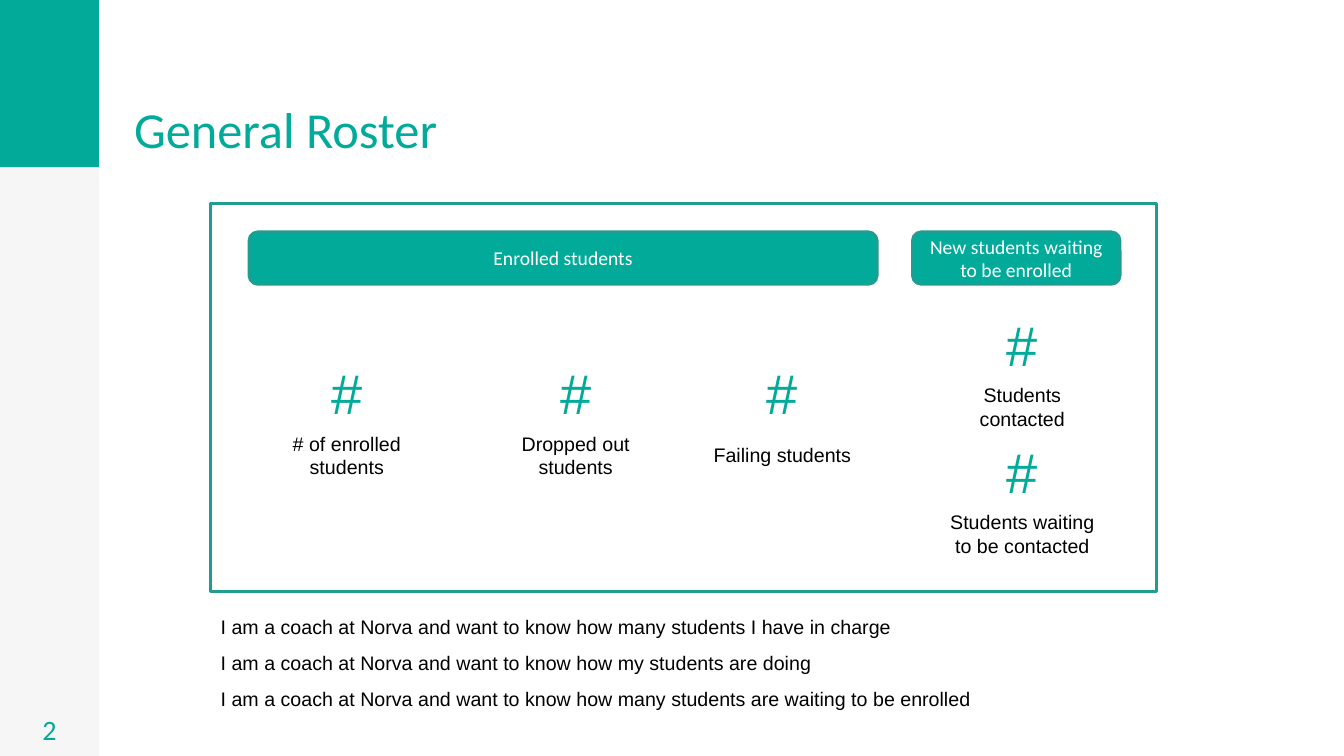
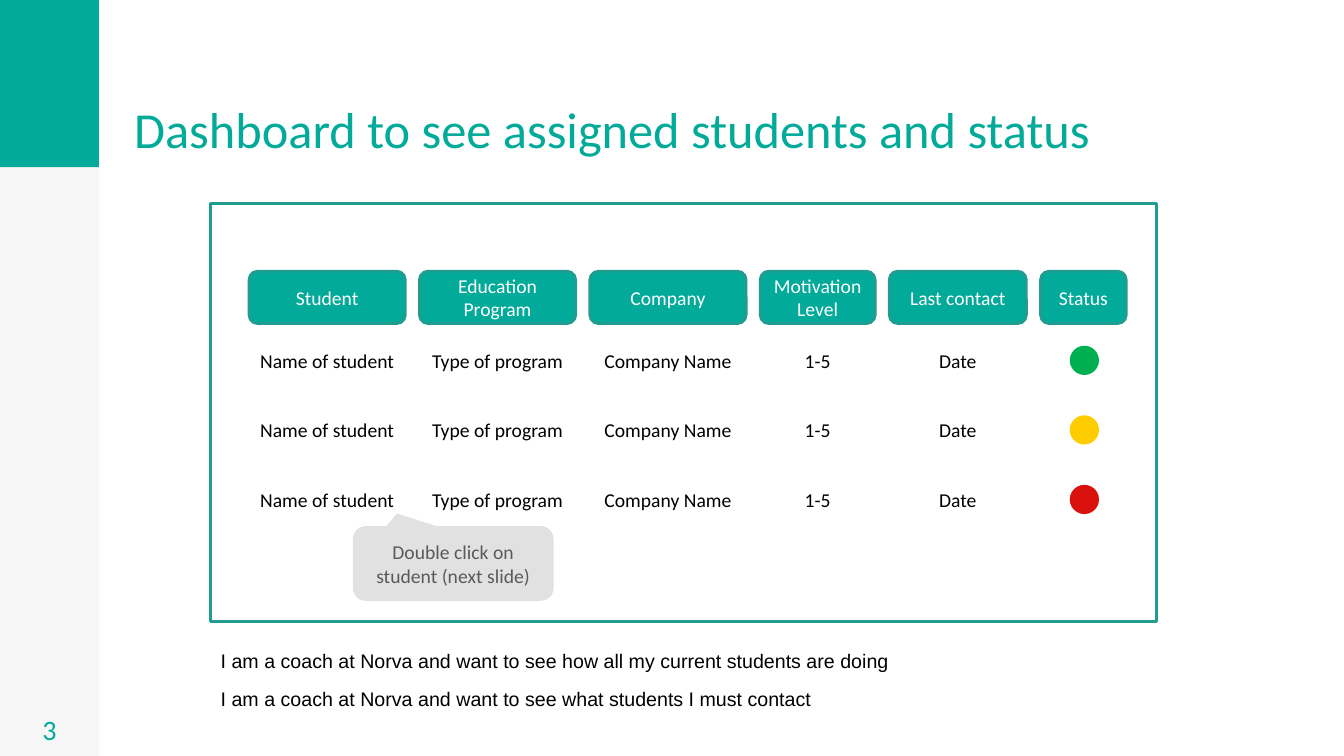
"""Build the student roster slide and the student dashboard slide."""
from dataclasses import dataclass

from pptx import Presentation
from pptx.dml.color import RGBColor
from pptx.enum.shapes import MSO_SHAPE
from pptx.enum.text import MSO_ANCHOR, MSO_AUTO_SIZE, PP_ALIGN
from pptx.util import Pt

PX = 9144
RECT, ROUND = MSO_SHAPE.RECTANGLE, MSO_SHAPE.ROUNDED_RECTANGLE
OVAL, CALLOUT = MSO_SHAPE.OVAL, MSO_SHAPE.ROUNDED_RECTANGULAR_CALLOUT
LEFT, CENTER = PP_ALIGN.LEFT, PP_ALIGN.CENTER
TOP, MIDDLE, BOTTOM = MSO_ANCHOR.TOP, MSO_ANCHOR.MIDDLE, MSO_ANCHOR.BOTTOM
NO_FIT = MSO_AUTO_SIZE.NONE


@dataclass(frozen=True)
class Theme:
    teal: str = "02AA9A"
    outline: str = "219C90"
    side: str = "F6F6F6"
    white: str = "FFFFFF"
    black: str = "000000"
    callout: str = "E1E1E1"
    callout_text: str = "5A5A5A"
    green: str = "00B050"
    yellow: str = "FFCC00"
    red: str = "DA120F"
    head: str = "Calibri"
    body: str = "Arial"
    title: int = 36
    number: int = 20
    metric: int = 40
    text: int = 14


T = Theme()


def box(s, kind, at, fill=None, line=None):
    """Add a preset shape, or a text box when kind is None."""
    at = [v * PX for v in at]
    if kind is None:
        return s.shapes.add_textbox(*at)
    sp = s.shapes.add_shape(kind, *at)
    sp.shadow.inherit = False
    sp.fill.solid()
    sp.fill.fore_color.rgb = RGBColor.from_string(fill)
    if line:
        sp.line.color.rgb = RGBColor.from_string(line)
        sp.line.width = Pt(2)
    else:
        sp.line.fill.background()
    return sp


def write(sp, text, color, size=T.text, font=T.head, align=CENTER, anchor=MIDDLE):
    """Put one formatted paragraph into a shape."""
    tf = sp.text_frame
    tf.word_wrap = True
    tf.auto_size = NO_FIT
    tf.vertical_anchor = anchor
    if anchor == BOTTOM:
        tf.margin_bottom = 10 * PX
    p = tf.paragraphs[0]
    p.text = text
    p.alignment = align
    p.font.name = font
    p.font.size = Pt(size)
    p.font.color.rgb = RGBColor.from_string(color)


prs = Presentation()
prs.slide_width, prs.slide_height = 1333 * PX, 750 * PX
layout = prs.slide_layouts[5]

pages = [
    ("General Roster", 385, 605, 36, [
        "I am a coach at Norva and want to know how many students I have in charge",
        "I am a coach at Norva and want to know how my students are doing",
        "I am a coach at Norva and want to know how many students are waiting to be enrolled",
    ]),
    ("Dashboard to see assigned students and status", 415, 639, 38, [
        "I am a coach at Norva and want to see how all my current students are doing",
        "I am a coach at Norva and want to see what students I must contact",
    ]),
]
slides = []
for number, (title, frame_h, notes_y, step, notes) in enumerate(pages, 2):
    s = prs.slides.add_slide(layout)
    slides.append(s)
    sp = s.shapes.title
    sp.left, sp.top, sp.width, sp.height = 123 * PX, PX, 1088 * PX, 166 * PX
    write(sp, title, T.teal, T.title, align=LEFT, anchor=BOTTOM)
    write(box(s, None, (0, 499, 98, 251)), str(number), T.teal, T.number, anchor=BOTTOM)
    box(s, RECT, (209, 202, 938, frame_h), T.white, T.outline)
    for i, note in enumerate(notes):
        sp = box(s, None, (209, notes_y + i * step, 981, 34))
        write(sp, note, T.black, font=T.body, align=LEFT, anchor=TOP)

roster, dashboard = slides

for height, color in ((750, T.side), (166, T.teal)):
    band = box(roster, RECT, (0, 0, 98, height), color)
    layout.shapes.element.append(band.element)

for x, w, heading in (
    (247, 623, "Enrolled students"),
    (905, 206, "New students waiting to be enrolled"),
):
    write(box(roster, ROUND, (x, 230, w, 52), T.teal, T.outline), heading, T.white)

metrics = [
    (262, 351, "# of enrolled students"),
    (489, 351, "Dropped out students"),
    (694, 351, "Failing students"),
    (932, 303, "Students contacted"),
    (932, 429, "Students waiting to be contacted"),
]
for x, y, label in metrics:
    write(box(roster, None, (x, y, 164, 77)), "#", T.teal, T.metric, T.body)
    write(box(roster, None, (x, y + 72, 164, 57)), label, T.black, font=T.body)

columns = [
    (155, "Student", "Name of student"),
    (155, "Education Program", "Type of program"),
    (155, "Company", "Company Name"),
    (114, "Motivation Level", "1-5"),
    (136, "Last contact", "Date"),
    (85, "Status", None),
]
GAP, ROW_Y, ROW_STEP, DOT = 14, 341, 69, 29
x = 247
for w, heading, value in columns:
    write(box(dashboard, ROUND, (x, 269, w, 52), T.teal, T.outline), heading, T.white)
    for i, status in enumerate((T.green, T.yellow, T.red)):
        y = ROW_Y + i * ROW_STEP
        if value:
            write(box(dashboard, None, (x, y, w, 34)), value, T.black, anchor=TOP)
        else:
            box(dashboard, OVAL, (x + (w - DOT) // 2 + 1, y + 2, DOT, DOT), status)
    x += w + GAP

hint = box(dashboard, CALLOUT, (350, 522, 199, 74), T.callout)
for i, value in enumerate((-0.28, -0.67, 0.17)):
    hint.adjustments[i] = value
write(hint, "Double click on student (next slide)", T.callout_text)

prs.save("out.pptx")
